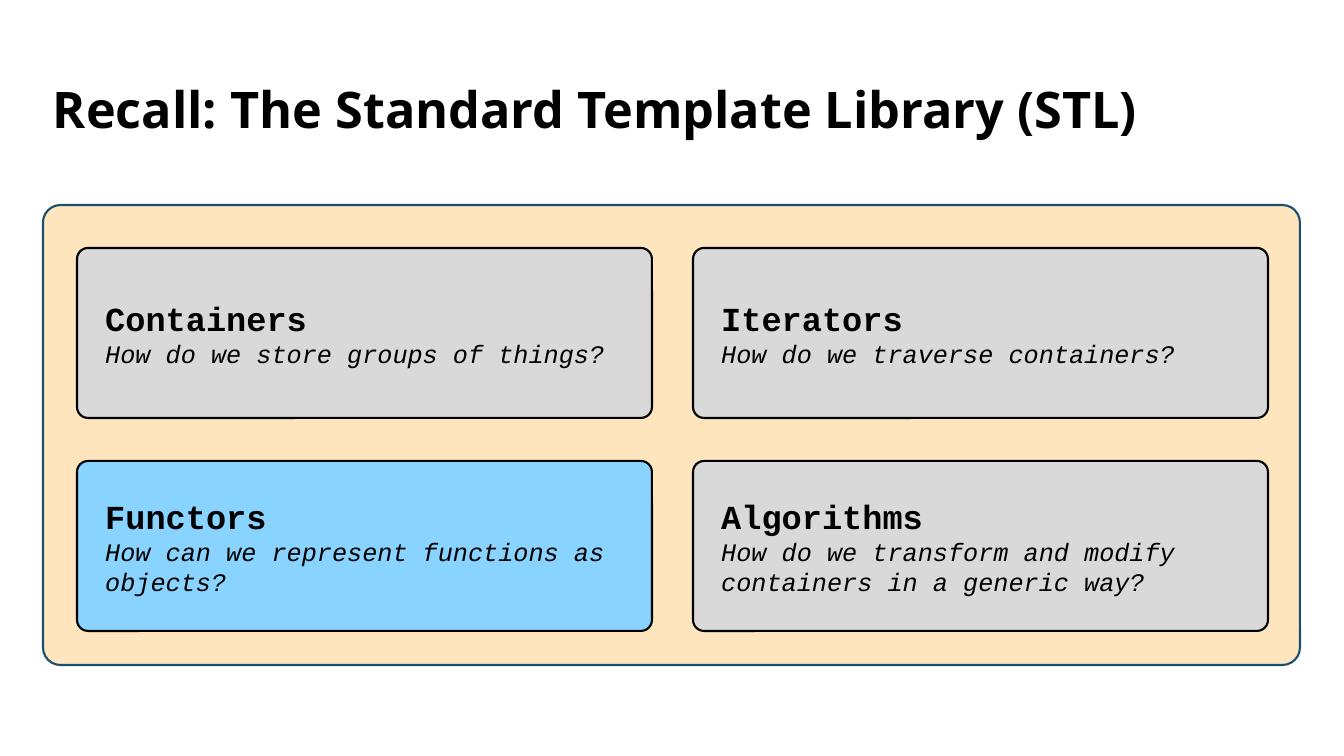
"""Build the slide that recalls the four parts of the Standard Template Library."""
from pptx import Presentation
from pptx.dml.color import RGBColor
from pptx.enum.shapes import MSO_SHAPE
from pptx.enum.text import MSO_ANCHOR, PP_ALIGN
from pptx.util import Emu, Pt

SLIDE_WIDTH, SLIDE_HEIGHT = 1344, 756
EMU_PER_PX = 12192000 / SLIDE_WIDTH

THEME = {
    "ink": RGBColor.from_string("000000"),
    "panel": RGBColor.from_string("FFE5BD"),
    "panel_edge": RGBColor.from_string("195070"),
    "card": RGBColor.from_string("D9D9D9"),
    "highlight": RGBColor.from_string("88D3FF"),
    "edge_width": Pt(1.5),
    "title": {"name": "Open Sans", "size": Pt(36), "bold": True},
    "topic": {"name": "Courier New", "size": Pt(24), "bold": True},
    "question": {"name": "Courier New", "size": Pt(18), "italic": True},
}

CARD_LEFT, CARD_TOP = 77, 248
CARD_WIDTH, CARD_HEIGHT = 575, 170
COLUMN_STEP, ROW_STEP = 616, 213
CARD_INSET = 25

TOPICS = [
    [("Containers", "How do we store groups of things?", "card"),
     ("Iterators", "How do we traverse containers?", "card")],
    [("Functors", "How can we represent functions as objects?", "highlight"),
     ("Algorithms", "How do we transform and modify containers in a generic way?", "card")],
]


def px(*lengths):
    return [Emu(round(length * EMU_PER_PX)) for length in lengths]


def add_rounded(box, corner, fill, edge):
    rounded = slide.shapes.add_shape(MSO_SHAPE.ROUNDED_RECTANGLE, *px(*box))
    rounded.adjustments[0] = corner
    rounded.shadow.inherit = False
    rounded.fill.solid()
    rounded.fill.fore_color.rgb = THEME[fill]
    rounded.line.color.rgb = THEME[edge]
    rounded.line.width = THEME["edge_width"]
    return rounded


deck = Presentation()
deck.slide_width, deck.slide_height = px(SLIDE_WIDTH, SLIDE_HEIGHT)
slide = deck.slides.add_slide(deck.slide_layouts[6])

heading = slide.shapes.add_textbox(*px(43, 70, 1257, 85)).text_frame
heading.word_wrap = True
heading.vertical_anchor = MSO_ANCHOR.MIDDLE
heading_line = heading.paragraphs[0]
heading_line.line_spacing = 0.9
lines = [(heading_line, "Recall: The Standard Template Library (STL)", "title")]

add_rounded((43, 205, 1257, 460), 0.038, "panel", "panel_edge")

for row, topics in enumerate(TOPICS):
    for column, (topic, question, fill) in enumerate(topics):
        box = (CARD_LEFT + column * COLUMN_STEP, CARD_TOP + row * ROW_STEP,
               CARD_WIDTH, CARD_HEIGHT)
        card = add_rounded(box, 0.065, fill, "ink").text_frame
        card.word_wrap = True
        card.vertical_anchor = MSO_ANCHOR.MIDDLE
        for side in ("left", "top", "right", "bottom"):
            setattr(card, f"margin_{side}", px(CARD_INSET)[0])
        lines += [(card.paragraphs[0], topic, "topic"),
                  (card.add_paragraph(), question, "question")]

for paragraph, words, style in lines:
    paragraph.alignment = PP_ALIGN.LEFT
    run = paragraph.add_run()
    run.text = words
    run.font.color.rgb = THEME["ink"]
    for attribute, value in THEME[style].items():
        setattr(run.font, attribute, value)

deck.save("out.pptx")
